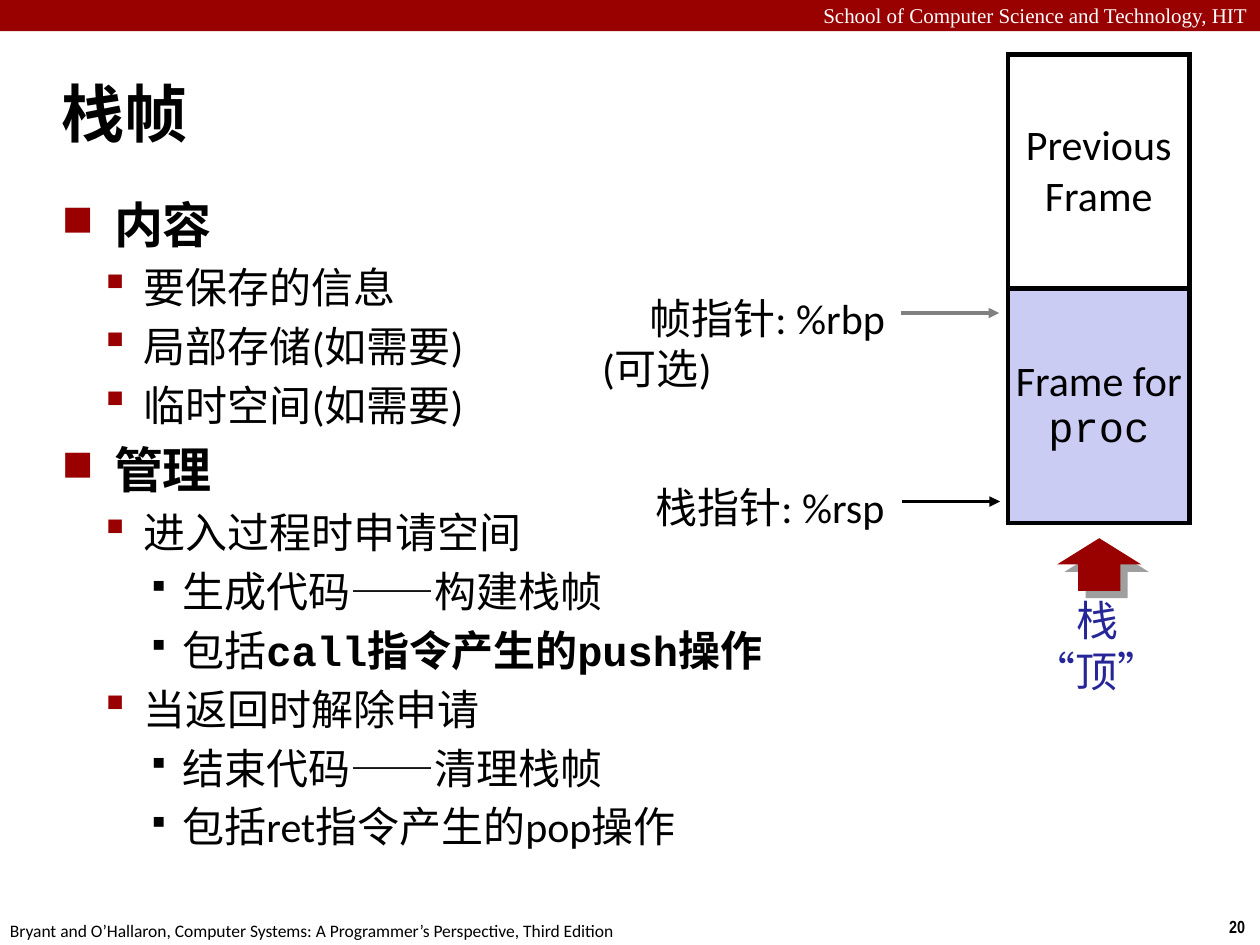
from dataclasses import dataclass

import pptx
import pptx.dml.color
import pptx.enum.shapes
import pptx.enum.text
import pptx.oxml
import pptx.oxml.ns
import pptx.util
from pptx.util import Cm

ALIGN = pptx.enum.text.PP_ALIGN
ANCHOR = pptx.enum.text.MSO_ANCHOR
SHAPE = pptx.enum.shapes.MSO_SHAPE
NS = pptx.oxml.ns.nsdecls("a")


@dataclass(frozen=True)
class Theme:
    red: str = "990000"
    black: str = "000000"
    white: str = "FFFFFF"
    gray: str = "808080"
    blue: str = "262699"
    lavender: str = "CBCCF3"
    sans: str = "Calibri"
    mono: str = "Courier New"
    serif: str = "Times New Roman"
    narrow: str = "Arial Narrow"
    title: int = 36
    heading: int = 28
    text: int = 24
    header: int = 12
    footer: int = 10


theme = Theme()


def write(para, text, size=theme.text, color=theme.black, font=theme.sans,
          bold=False, align=ALIGN.LEFT):
    """Append a formatted span to a paragraph."""
    para.alignment = align
    span = para.add_run()
    span.text = text
    span.font.size = pptx.util.Pt(size)
    span.font.name = font
    span.font.bold = bold
    span.font.color.rgb = pptx.dml.color.RGBColor.from_string(color)


def add_frame(left, top, width, height, inset=None, wrap=True, anchor=ANCHOR.TOP):
    """Add a text box measured in centimetres and return its text frame."""
    box = page.shapes.add_textbox(Cm(left), Cm(top), Cm(width), Cm(height))
    frame = box.text_frame
    frame.word_wrap = wrap
    frame.vertical_anchor = anchor
    if inset is not None:
        frame.margin_left = frame.margin_right = Cm(inset)
        frame.margin_top = frame.margin_bottom = Cm(inset)
    return frame


deck = pptx.Presentation()
deck.slide_width, deck.slide_height = Cm(25.4), Cm(19.05)
page = deck.slides.add_slide(deck.slide_layouts[6])

# Header band, page number and footer
band = page.shapes.add_shape(SHAPE.RECTANGLE, 0, 0, deck.slide_width, Cm(0.63))
band.shadow.inherit = False
band.fill.solid()
band.fill.fore_color.rgb = pptx.dml.color.RGBColor.from_string(theme.red)
band.line.fill.background()
write(add_frame(0, -0.08, 25.4, 0.76).paragraphs[0],
      "School of Computer Science and Technology, HIT", size=theme.header,
      color=theme.white, font=theme.serif, align=ALIGN.RIGHT)
write(add_frame(24.51, 18.35, 0.86, 0.69, wrap=False).paragraphs[0], "20",
      size=theme.footer, font=theme.narrow, bold=True, align=ALIGN.CENTER)
write(add_frame(-0.17, 18.42, 12.9, 0.69, wrap=False).paragraphs[0],
      "Bryant and O’Hallaron, Computer Systems: A Programmer’s Perspective, Third Edition",
      size=theme.footer, align=ALIGN.CENTER)

# Title
write(add_frame(0.99, 1.2, 24.41, 2.11, anchor=ANCHOR.MIDDLE).paragraphs[0], "栈帧",
      size=theme.title, bold=True)

# Outline: (level, plain text, bold code text)
outline = [
    (0, "内容", ""),
    (1, "要保存的信息", ""),
    (1, "局部存储(如需要)", ""),
    (1, "临时空间(如需要)", ""),
    (0, "管理", ""),
    (1, "进入过程时申请空间", ""),
    (2, "生成代码——构建栈帧", ""),
    (2, "包括", "call指令产生的push操作"),
    (1, "当返回时解除申请", ""),
    (2, "结束代码——清理栈帧", ""),
    (2, "包括ret指令产生的pop操作", ""),
]
# Per level: left margin, hanging indent, bullet font, bullet, its colour and percent, text size
levels = [
    (0.96, 0.96, "Wingdings 2", "¢", theme.red, 60, theme.heading),
    (1.56, 0.79, "Wingdings", "§", theme.red, 110, theme.text),
    (2.34, 0.63, "Wingdings", "§", theme.black, 80, theme.text),
]
body = add_frame(1.09, 3.8, 23.88, 14.63)
for index, (level, text, code) in enumerate(outline):
    margin, hanging, symbols, bullet, color, percent, size = levels[level]
    para = body.add_paragraph() if index else body.paragraphs[0]
    para.level = level
    if index:
        para.space_before = pptx.util.Pt(size * 0.2)
    props = para._p.get_or_add_pPr()
    props.set("marL", str(Cm(margin)))
    props.set("indent", str(-Cm(hanging)))
    for element in (f'<a:buClr {NS}><a:srgbClr val="{color}"/></a:buClr>',
                    f'<a:buSzPct {NS} val="{percent * 1000}"/>',
                    f'<a:buFont {NS} typeface="{symbols}" charset="2"/>',
                    f'<a:buChar {NS} char="{bullet}"/>'):
        props.append(pptx.oxml.parse_xml(element))
    write(para, text, size=size, bold=level == 0)
    if code:
        write(para, code, size=size, font=theme.mono, bold=True)

# Pointer labels and their arrows
frame_pointer = add_frame(11.44, 5.79, 6.5, 2.26, inset=0.1)
write(frame_pointer.paragraphs[0], "帧指针: %rbp", align=ALIGN.RIGHT)
optional = frame_pointer.add_paragraph()
optional._p.get_or_add_pPr().set("marL", str(Cm(0.6)))
write(optional, "(可选)")
write(add_frame(12.47, 9.6, 5.46, 1.02, inset=0.1).paragraphs[0], "栈指针: %rsp",
      align=ALIGN.RIGHT)

for left, top, color in [(18.16, 6.31, theme.gray), (18.18, 10.11, theme.black)]:
    arrow = page.shapes.add_connector(pptx.enum.shapes.MSO_CONNECTOR.STRAIGHT,
                                      Cm(left), Cm(top), Cm(left + 1.98), Cm(top))
    arrow.line.width = pptx.util.Pt(2)
    arrow.line.color.rgb = pptx.dml.color.RGBColor.from_string(color)
    arrow.line._get_or_add_ln().append(
        pptx.oxml.parse_xml(f'<a:tailEnd {NS} type="triangle"/>'))
    arrow._element.spPr.append(pptx.oxml.parse_xml(f"<a:effectLst {NS}/>"))

# Stack top marker
para = add_frame(20.68, 11.89, 2.87, 2.2, inset=0.1, wrap=False).paragraphs[0]
write(para, "栈", color=theme.blue, align=ALIGN.CENTER)
para.add_line_break()
write(para, "“顶”", color=theme.blue, align=ALIGN.CENTER)
marker = page.shapes.add_shape(SHAPE.UP_ARROW, Cm(21.31), Cm(10.85), Cm(1.7), Cm(1.06))
marker.fill.solid()
marker.fill.fore_color.rgb = pptx.dml.color.RGBColor.from_string(theme.red)
marker.line.fill.background()
marker._element.spPr.append(pptx.oxml.parse_xml(
    f'<a:effectLst {NS}><a:outerShdw blurRad="0" dist="{pptx.util.Pt(6)}" dir="2700000">'
    f'<a:srgbClr val="{theme.gray}"><a:alpha val="75000"/></a:srgbClr>'
    '</a:outerShdw></a:effectLst>'))

# Stack diagram
stack = page.shapes.add_table(2, 1, Cm(20.32), Cm(1.1), Cm(3.66), Cm(9.44)).table
stack.first_row = stack.horz_banding = False
for row in range(2):
    cell = stack.cell(row, 0)
    cell.vertical_anchor = ANCHOR.MIDDLE
    cell.margin_left = cell.margin_right = Cm(0.15)
    cell.margin_top = cell.margin_bottom = Cm(0.15)
    for side in ("lnL", "lnR", "lnT", "lnB"):
        cell._tc.get_or_add_tcPr().append(pptx.oxml.parse_xml(
            f'<a:{side} {NS} w="{pptx.util.Pt(3)}"><a:solidFill>'
            f'<a:srgbClr val="{theme.black}"/></a:solidFill></a:{side}>'))
previous, current = stack.cell(0, 0), stack.cell(1, 0)
previous.fill.background()
write(previous.text_frame.paragraphs[0], "Previous Frame", align=ALIGN.CENTER)
current.fill.solid()
current.fill.fore_color.rgb = pptx.dml.color.RGBColor.from_string(theme.lavender)
para = current.text_frame.paragraphs[0]
write(para, "Frame for", align=ALIGN.CENTER)
para.add_line_break()
write(para, "proc", font=theme.mono, align=ALIGN.CENTER)

deck.save("out.pptx")
